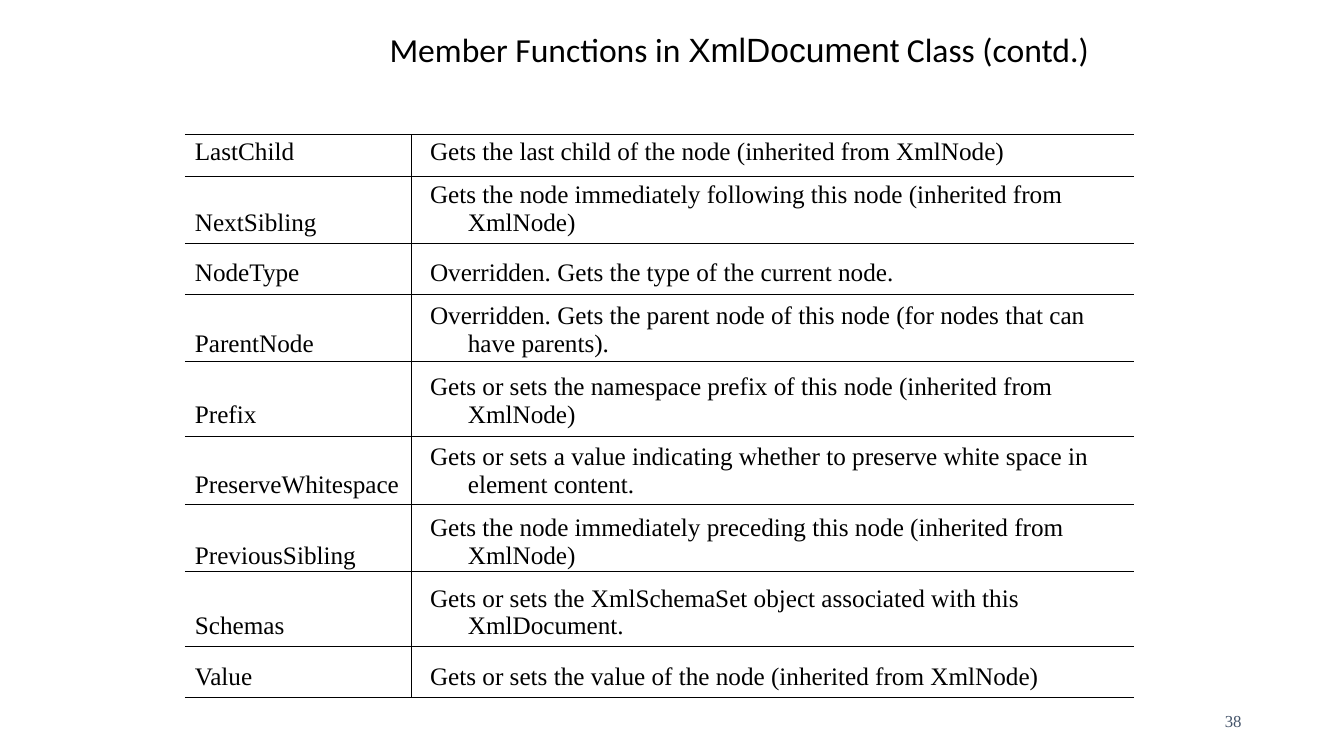
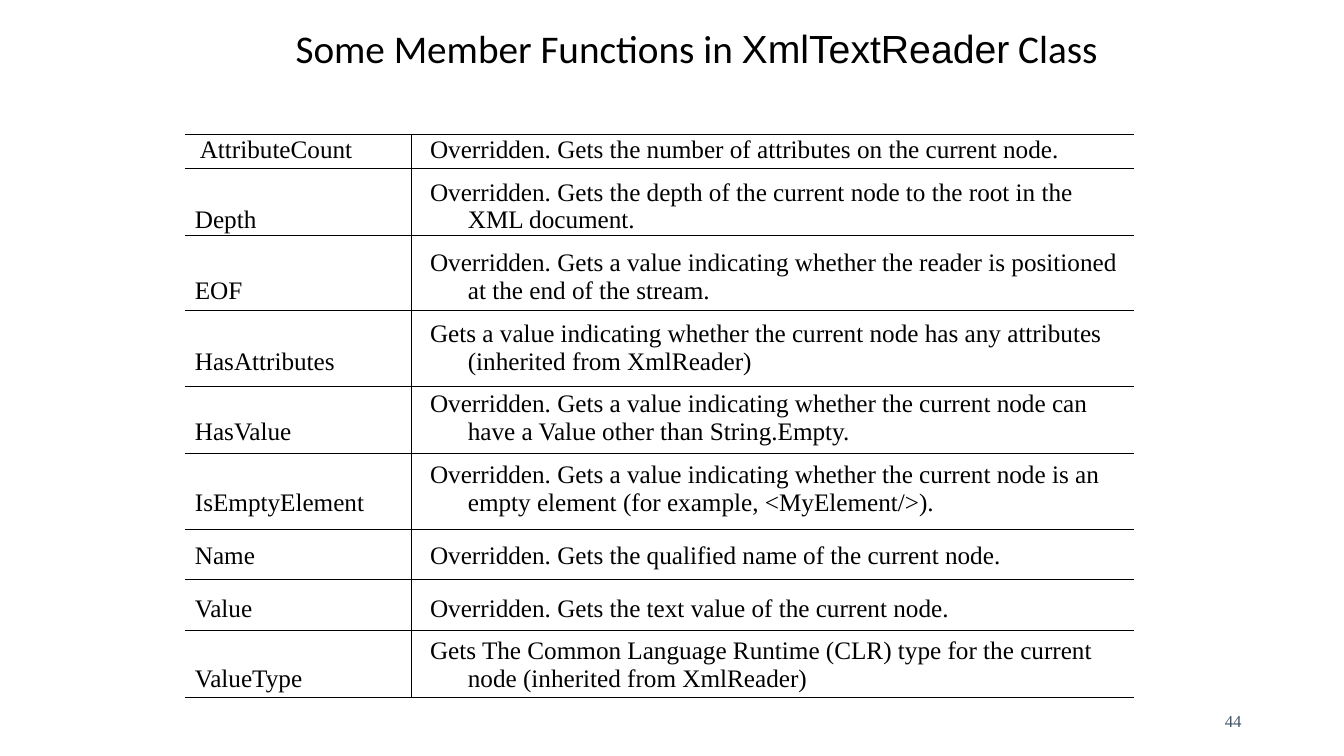
from dataclasses import dataclass
from typing import NamedTuple

from lxml import etree
from pptx import Presentation
from pptx import util as u
from pptx.dml.color import RGBColor
from pptx.enum import shapes, text
from pptx.oxml import ns

# Shared style: lengths in px, 120 px to the inch
PX = 7620
BLACK = RGBColor(0x00, 0x00, 0x00)
SLATE = RGBColor(0x44, 0x54, 0x6A)
TITLE_FONT, CODE_FONT, BODY_FONT = "Calibri", "Arial", "Times New Roman"
TABLE_LEFT, TABLE_RIGHT = 220, 1350
NAME_WIDTH, DESCRIPTION_WIDTH = 280, 850
RULES_TOP, DIVIDER_X = 160, 490
HANGING = 45


class Member(NamedTuple):
    name: str
    description: str
    height: int  # table row
    rule_below: int  # y of the line under the row


@dataclass(frozen=True)
class MemberSlide:
    title: tuple[str, str, str]  # plain, class name, plain
    title_left: int
    title_width: int
    title_size: int
    title_align: text.PP_ALIGN
    table_top: int
    members: tuple[Member, ...]
    number: str


def px(length: int) -> u.Emu:
    return u.Emu(length * PX)


def style_run(run, font: str, size: int, colour: RGBColor) -> None:
    run.font.name = font
    run.font.size = u.Pt(size)
    run.font.color.rgb = colour


def add_text(slide, left: int, top: int, width: int, height: int, align: text.PP_ALIGN):
    """Add a middle-anchored text box and return its paragraph."""
    frame = slide.shapes.add_textbox(px(left), px(top), px(width), px(height)).text_frame
    frame.word_wrap = True
    frame.vertical_anchor = text.MSO_ANCHOR.MIDDLE
    frame.paragraphs[0].alignment = align
    return frame.paragraphs[0]


def add_title(slide, page: MemberSlide) -> None:
    heading = add_text(slide, page.title_left, 20, page.title_width, 82, page.title_align)
    heading.line_spacing = 0.9
    for words, font in zip(page.title, (TITLE_FONT, CODE_FONT, TITLE_FONT)):
        run = heading.add_run()
        run.text = words
        style_run(run, font, page.title_size, BLACK)


def add_page_number(slide, number: str) -> None:
    footer = add_text(slide, 1130, 834, 360, 48, text.PP_ALIGN.RIGHT)
    footer.text = number
    style_run(footer.runs[0], BODY_FONT, 12, SLATE)


def clear_borders(cell) -> None:
    """Switch off the table style's borders; they come before the cell's fill."""
    properties = cell._tc.get_or_add_tcPr()
    for position, side in enumerate(("lnL", "lnR", "lnT", "lnB")):
        border = etree.Element(ns.qn(f"a:{side}"), w="0")
        etree.SubElement(border, ns.qn("a:noFill"))
        properties.insert(position, border)


def fill_cell(cell, words: str) -> None:
    cell.fill.background()
    clear_borders(cell)
    cell.vertical_anchor = text.MSO_ANCHOR.BOTTOM
    entry = cell.text_frame.paragraphs[0]
    entry.text = words
    indents = entry._p.get_or_add_pPr()
    indents.set("marL", str(px(HANGING)))
    indents.set("indent", str(px(-HANGING)))
    style_run(entry.runs[0], BODY_FONT, 18, BLACK)


def add_member_table(slide, page: MemberSlide) -> None:
    height = sum(member.height for member in page.members)
    table = slide.shapes.add_table(
        len(page.members), 2, px(TABLE_LEFT), px(page.table_top),
        px(NAME_WIDTH + DESCRIPTION_WIDTH), px(height)).table
    table.first_row = table.horz_banding = False
    table.columns[0].width = px(NAME_WIDTH)
    table.columns[1].width = px(DESCRIPTION_WIDTH)
    for row, member in zip(table.rows, page.members):
        row.height = px(member.height)
        fill_cell(row.cells[0], member.name)
        fill_cell(row.cells[1], member.description)


def add_line(slide, x1: int, y1: int, x2: int, y2: int) -> None:
    line = slide.shapes.add_connector(
        shapes.MSO_CONNECTOR.STRAIGHT, px(x1), px(y1), px(x2), px(y2))
    line.line.color.rgb = BLACK
    line.line.width = u.Pt(0.75)
    etree.SubElement(line._element.spPr, ns.qn("a:effectLst"))


def add_rules(slide, members: tuple[Member, ...]) -> None:
    for y in (RULES_TOP, *(member.rule_below for member in members)):
        add_line(slide, TABLE_LEFT, y, TABLE_RIGHT, y)
    add_line(slide, DIVIDER_X, RULES_TOP, DIVIDER_X, members[-1].rule_below)


# Content
PAGES = (
    MemberSlide(
        ("Member Functions in ", "XmlDocument", " Class (contd.)"),
        370, 1020, 24, text.PP_ALIGN.CENTER, 70,
        (
            Member("LastChild", "Gets the last child of the node (inherited from XmlNode)",
                   134, 210),
            Member("NextSibling", "Gets the node immediately following this node "
                   "(inherited from XmlNode)", 84, 290),
            Member("NodeType", "Overridden. Gets the type of the current node.", 60, 351),
            Member("ParentNode", "Overridden. Gets the parent node of this node "
                   "(for nodes that can have parents).", 84, 430),
            Member("Prefix", "Gets or sets the namespace prefix of this node "
                   "(inherited from XmlNode)", 84, 520),
            Member("PreserveWhitespace", "Gets or sets a value indicating whether to "
                   "preserve white space in element content.", 84, 601),
            Member("PreviousSibling", "Gets the node immediately preceding this node "
                   "(inherited from XmlNode)", 84, 680),
            Member("Schemas", "Gets or sets the XmlSchemaSet object associated with "
                   "this XmlDocument.", 84, 770),
            Member("Value", "Gets or sets the value of the node (inherited from XmlNode)",
                   60, 830),
        ),
        "38"),
    MemberSlide(
        ("Some Member Functions in ", "XmlTextReader", " Class"),
        340, 1050, 28, text.PP_ALIGN.LEFT, 60,
        (
            Member(" AttributeCount", "Overridden. Gets the number of attributes on the "
                   "current node.", 141, 201),
            Member("Depth", "Overridden. Gets the depth of the current node to the root "
                   "in the XML document.", 84, 280),
            Member("EOF", "Overridden. Gets a value indicating whether the reader is "
                   "positioned at the end of the stream.", 84, 370),
            Member("HasAttributes", "Gets a value indicating whether the current node has "
                   "any attributes (inherited from XmlReader)", 84, 460),
            Member("HasValue", "Overridden. Gets a value indicating whether the current "
                   "node can have a Value other than String.Empty.", 84, 540),
            Member("IsEmptyElement", "Overridden. Gets a value indicating whether the "
                   "current node is an empty element (for example, <MyElement/>).", 84, 630),
            Member("Name", "Overridden. Gets the qualified name of the current node.",
                   63, 690),
            Member("Value", "Overridden. Gets the text value of the current node.", 63, 751),
            Member("ValueType", "Gets The Common Language Runtime (CLR) type for the "
                   "current node (inherited from XmlReader)", 84, 830),
        ),
        "44"),
)


def main() -> None:
    deck = Presentation()
    deck.slide_width, deck.slide_height = px(1600), px(900)
    for page in PAGES:
        slide = deck.slides.add_slide(deck.slide_layouts[6])
        add_page_number(slide, page.number)
        add_title(slide, page)
        add_member_table(slide, page)
        add_rules(slide, page.members)
    deck.save("out.pptx")


if __name__ == "__main__":
    main()
